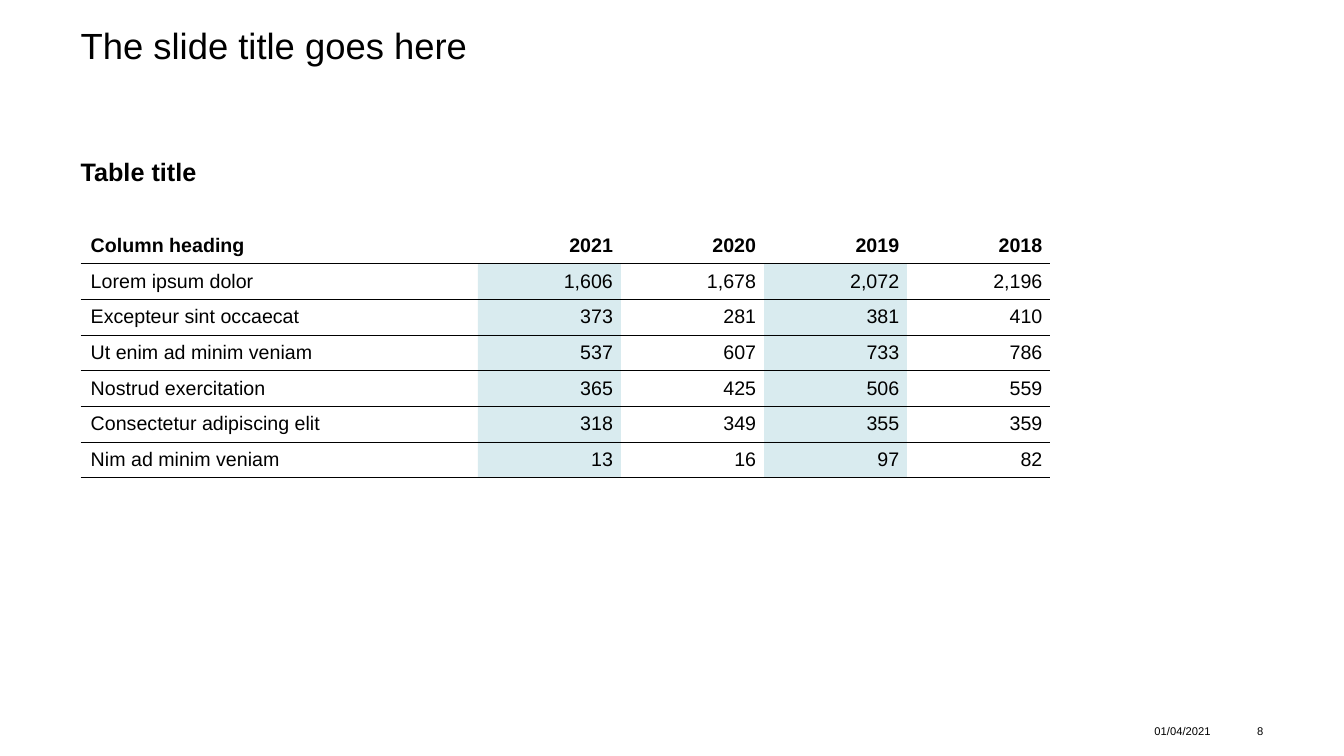
import lxml.etree
import pptx
import pptx.dml.color
import pptx.enum.text
import pptx.oxml.ns
import pptx.util

PX = 9144  # EMU per px, 100 px to the inch
BLACK = pptx.dml.color.RGBColor(0x00, 0x00, 0x00)
WHITE = pptx.dml.color.RGBColor(0xFF, 0xFF, 0xFF)
TEAL = pptx.dml.color.RGBColor(0x00, 0x7A, 0x96)
LEFT = pptx.enum.text.PP_ALIGN.LEFT
RIGHT = pptx.enum.text.PP_ALIGN.RIGHT
TOP = pptx.enum.text.MSO_ANCHOR.TOP
MIDDLE = pptx.enum.text.MSO_ANCHOR.MIDDLE
qn = pptx.oxml.ns.qn


def write(tf, text, size, bold=False, align=LEFT, spacing=None, before=None):
    p = tf.paragraphs[0]
    p.alignment = align
    p.line_spacing = spacing
    if before:
        p.space_before = pptx.util.Pt(before)
    r = p.add_run()
    r.text = text
    r.font.name = "Arial"
    r.font.size = pptx.util.Pt(size)
    r.font.bold = bold
    r.font.color.rgb = BLACK


def add_border(cell, index, tag, color, width):
    """Insert one cell border, which must come before the fill in tcPr."""
    ln = lxml.etree.Element(qn(tag), w=str(pptx.util.Pt(width)))
    fill = lxml.etree.SubElement(ln, qn("a:solidFill"))
    lxml.etree.SubElement(fill, qn("a:srgbClr"), val=str(color))
    cell._tc.get_or_add_tcPr().insert(index, ln)


prs = pptx.Presentation()
prs.slide_width = 1333 * PX
prs.slide_height = 750 * PX
s = prs.slides.add_slide(prs.slide_layouts[6])

# Title, table title, date and slide number
for text, box, anchor, style in [
    ("The slide title goes here", (80, 28, 1173, 98), TOP, dict(size=26, spacing=0.9)),
    ("Table title", (80, 155, 1173, 43), TOP, dict(size=18, bold=True, before=10)),
    ("01/04/2021", (1145, 713, 67, 24), MIDDLE, dict(size=8)),
    ("8", (1218, 713, 35, 24), MIDDLE, dict(size=8, align=RIGHT)),
]:
    tf = s.shapes.add_textbox(*[v * PX for v in box]).text_frame
    tf.word_wrap = True
    tf.vertical_anchor = anchor
    tf.margin_left = tf.margin_right = tf.margin_top = tf.margin_bottom = 0
    write(tf, text, **style)

# Table
rows = [
    ("Column heading", "2021", "2020", "2019", "2018"),
    ("Lorem ipsum dolor", "1,606", "1,678", "2,072", "2,196"),
    ("Excepteur sint occaecat", "373", "281", "381", "410"),
    ("Ut enim ad minim veniam", "537", "607", "733", "786"),
    ("Nostrud exercitation", "365", "425", "506", "559"),
    ("Consectetur adipiscing elit", "318", "349", "355", "359"),
    ("Nim ad minim veniam", "13", "16", "97", "82"),
]
col_widths = [394, 142, 142, 142, 142]
table = s.shapes.add_table(len(rows), len(col_widths), 80 * PX, 226 * PX,
                           sum(col_widths) * PX, 248 * PX).table
table.horz_banding = False
# "No Style, No Grid"
table._tbl.tblPr.find(qn("a:tableStyleId")).text = "{2D5ABB26-0587-4C30-8999-92F81FD0307C}"
for col, width in zip(table.columns, col_widths):
    col.width = width * PX

for i, row in enumerate(rows):
    for j, text in enumerate(row):
        cell = table.cell(i, j)
        cell.vertical_anchor = MIDDLE
        cell.margin_left = 10 * PX
        cell.margin_right = 8 * PX
        cell.margin_top = cell.margin_bottom = 5 * PX
        write(cell.text_frame, text, 14, bold=i == 0, align=RIGHT if j else LEFT)
        if i == 0:
            cell.fill.background()
        else:
            cell.fill.solid()
            cell.fill.fore_color.rgb = TEAL if j % 2 else WHITE
            if j % 2:
                clr = cell._tc.tcPr.find(".//" + qn("a:srgbClr"))
                lxml.etree.SubElement(clr, qn("a:alpha"), val="15000")
        add_border(cell, 0, "a:lnT", BLACK if i else WHITE, 0.96 if i < 2 else 0.5)
        add_border(cell, 1, "a:lnB", BLACK, 0.5 if i else 0.96)

prs.save("out.pptx")
